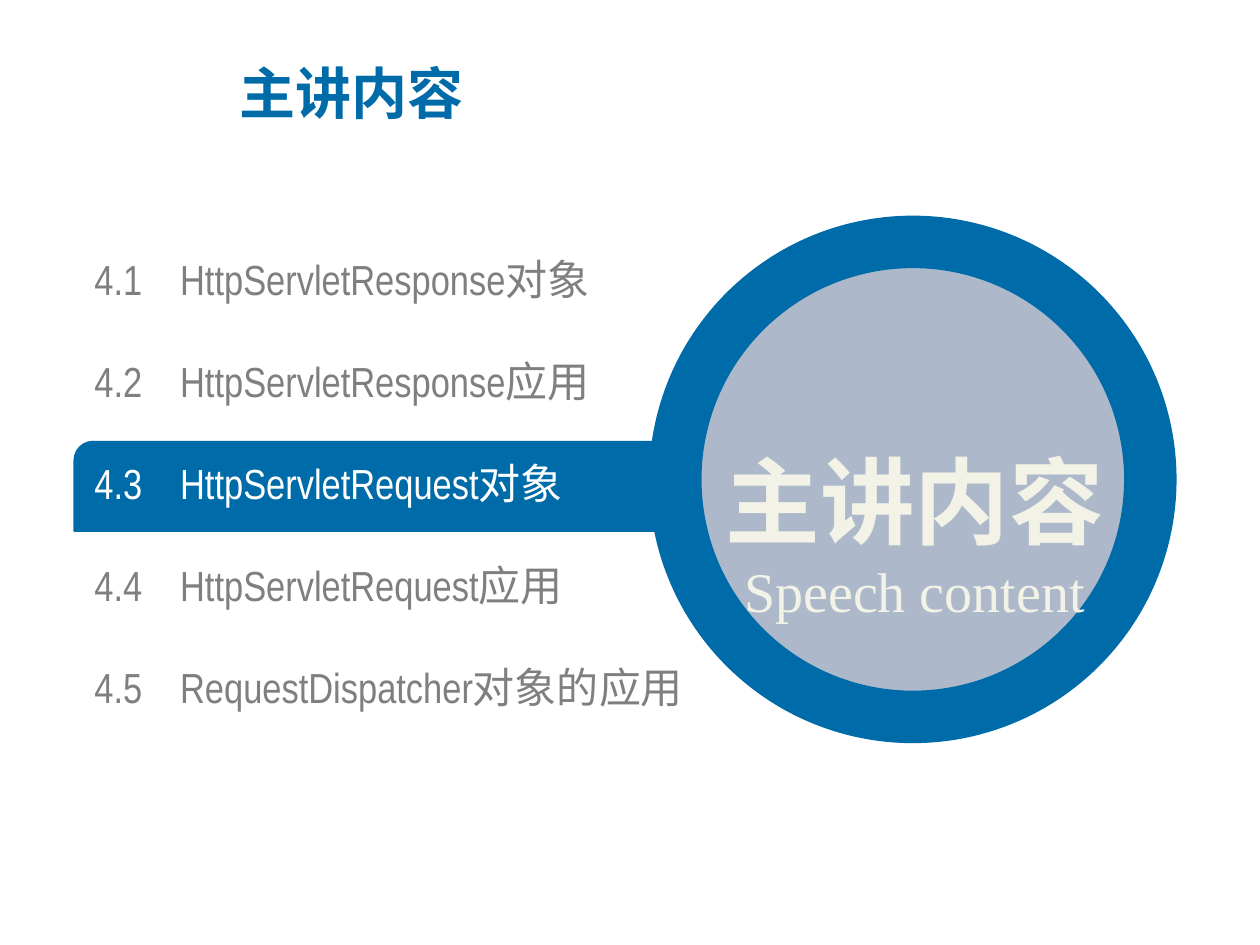
from pptx import Presentation
from pptx.dml.color import RGBColor
from pptx.enum.shapes import MSO_SHAPE as Shape
from pptx.enum.text import MSO_ANCHOR as Anchor, PP_ALIGN as Align
from pptx.oxml.ns import qn
from pptx.util import Inches, Pt
from lxml.etree import SubElement

BLUE, GREY, WHITE, CREAM, HAZE = "006BA9", "7F7F7F", "FFFFFF", "F2F2E6", "ADB9CA"
HAN, SLIM, SERIF = "Noto Sans CJK SC", "Arial Narrow", "Times New Roman"
TOPICS = [
    ("4.1", "HttpServletResponse对象"),
    ("4.2", "HttpServletResponse应用"),
    ("4.3", "HttpServletRequest对象"),
    ("4.4", "HttpServletRequest应用"),
    ("4.5", "RequestDispatcher对象的应用"),
]
ACTIVE = 2
PITCH, ROW = 0.81, 0.4  # row step and text height, inches
TAB = 0.68              # from number to topic name


def color(code):
    return RGBColor.from_string(code)


def inches(box):
    return [Inches(v) for v in box]


def add_run(para, text, size, font, code, bold=False):
    run = para.add_run()
    run.text = text
    run.font.size, run.font.name, run.font.bold = Pt(size), font, bold
    run.font.color.rgb = color(code)
    SubElement(run._r.get_or_add_rPr(), qn("a:ea"), typeface=HAN)


def add_shape(slide, kind, box, fill, width):
    shape = slide.shapes.add_shape(kind, *inches(box))
    shape.shadow.inherit = False
    shape.fill.solid()
    shape.fill.fore_color.rgb = color(fill)
    shape.line.color.rgb = color(BLUE)
    shape.line.width = Pt(width)
    return shape


def add_text(slide, box):
    frame = slide.shapes.add_textbox(*inches(box)).text_frame
    frame.word_wrap = True
    frame.vertical_anchor = Anchor.MIDDLE
    return frame


def set_tab(para):
    props = para._p.get_or_add_pPr()
    stops = SubElement(props, qn("a:tabLst"))
    SubElement(stops, qn("a:tab"), pos=str(Inches(TAB)), algn="l")


def add_title(slide, box):
    title = slide.shapes.title
    title.left, title.top, title.width, title.height = inches(box)
    frame = title.text_frame
    frame.vertical_anchor = Anchor.MIDDLE
    para = frame.paragraphs[0]
    para.alignment = Align.LEFT
    add_run(para, "主讲内容", 32, HAN, BLUE, True)


def add_topics(slide, box):
    left, top, width, _ = box

    # Band behind the active topic
    mid = top + ACTIVE * PITCH + ROW / 2
    high = 0.71
    band = add_shape(slide, Shape.ROUND_2_DIAG_RECTANGLE,
                     (left - 0.16, mid - high / 2 + 0.03, 5.86, high), BLUE, 1)
    band.adjustments[0], band.adjustments[1] = 0.21, 0

    # Topic rows
    for i, (number, name) in enumerate(TOPICS):
        frame = add_text(slide, (left, top + i * PITCH, width, ROW))
        frame.margin_left = frame.margin_right = 0
        frame.margin_top = frame.margin_bottom = 0
        para = frame.paragraphs[0]
        set_tab(para)
        add_run(para, f"{number}\t{name}", 24, SLIM,
                WHITE if i == ACTIVE else GREY)


def add_badge(slide, box):
    left, top, size, _ = box
    add_shape(slide, Shape.OVAL, box, HAZE, 30)

    # Caption in the lower part of the ring
    frame = add_text(slide, (left - 0.05, top + 1.09, size + 0.13, 2))
    head = frame.paragraphs[0]
    head.alignment, head.line_spacing = Align.CENTER, 1.5
    add_run(head, "主讲内容", 54, HAN, CREAM, True)
    sub = frame.add_paragraph()
    sub.alignment = Align.CENTER
    add_run(sub, "Speech content", 32, SERIF, CREAM)


def main():
    deck = Presentation()
    deck.slide_width, deck.slide_height = Inches(10), Inches(7.5)
    slide = deck.slides.add_slide(deck.slide_layouts[5])
    add_title(slide, (1.8, 0.43, 6.98, 0.61))
    add_topics(slide, (0.75, 2.01, 5.2, 4 * PITCH + ROW))
    add_badge(slide, (5.36, 1.92, 3.77, 3.77))
    deck.save("out.pptx")


if __name__ == "__main__":
    main()
